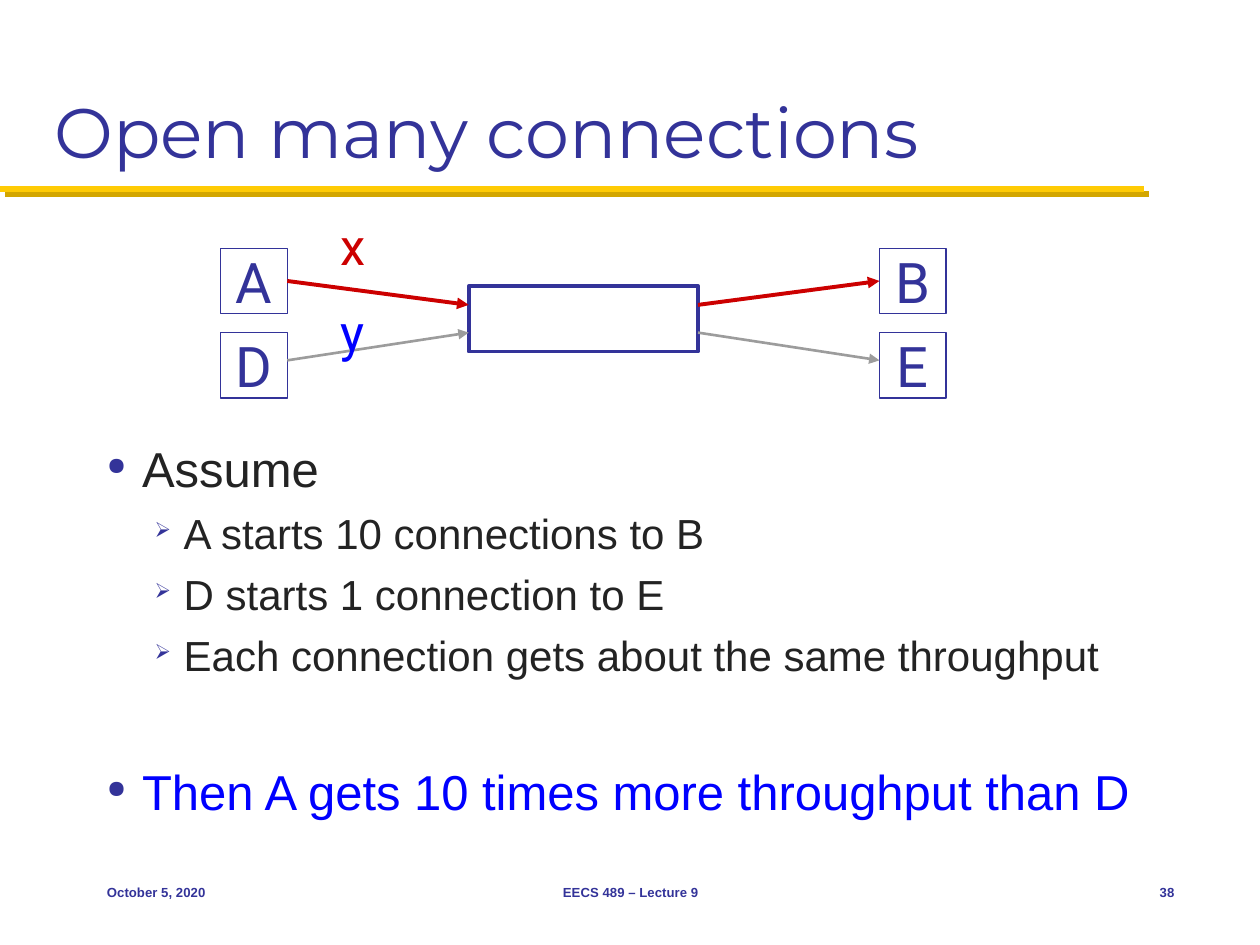
"""Build a slide on sharing a link between many connections."""
from dataclasses import dataclass

from lxml import etree
from pptx import Presentation
from pptx import util as u
from pptx.dml.color import RGBColor
from pptx.enum import shapes, text
from pptx.oxml import ns

CELL = u.Inches(0.1)
COLUMNS, ROWS = 100, 75
TIGHT, ROOMY = (0.4, 0.2), (1, 0.5)


@dataclass(frozen=True)
class Theme:
    """Colours, fonts and type sizes of the slide."""

    navy: str = "333399"
    ink: str = "232323"
    blue: str = "0000FF"
    red: str = "CC0000"
    grey: str = "9C9C9C"
    gold: str = "FFCB05"
    dark_gold: str = "D3A600"
    white: str = "FFFFFF"
    heading: str = "Montserrat"
    body: str = "Arial"
    label: str = "Roboto"
    title_size: float = 40
    host_size: float = 32
    rate_size: float = 29
    point_size: float = 28
    subpoint_size: float = 24
    footer_size: float = 7.5


THEME = Theme()
LEFT, CENTER, RIGHT = text.PP_ALIGN.LEFT, text.PP_ALIGN.CENTER, text.PP_ALIGN.RIGHT


def grid(*cells):
    """Turn grid cells into slide lengths."""
    return [round(cell * CELL) for cell in cells]


def apply(target, formats):
    """Set every attribute named in a dict of format values."""
    for name, value in formats.items():
        setattr(target, name, value)


def add_xml(parent, tag, **attributes):
    """Append a drawing element to a parent."""
    return etree.SubElement(parent, ns.qn(tag), attributes)


def set_frame(frame, insets=ROOMY, anchor=text.MSO_ANCHOR.MIDDLE):
    """Set the margins, anchor and wrapping of a text frame."""
    side, edge = grid(*insets)
    apply(frame, {
        "margin_left": side, "margin_right": side,
        "margin_top": edge, "margin_bottom": edge,
        "vertical_anchor": anchor, "word_wrap": True,
        "auto_size": text.MSO_AUTO_SIZE.NONE,
    })


def write(para, words, size, color, font, align=LEFT, bold=False):
    """Put one formatted span in a paragraph."""
    para.alignment = align
    span = para.add_run()
    span.text = words
    apply(span.font, {"size": u.Pt(size), "name": font, "bold": bold})
    span.font.color.rgb = RGBColor.from_string(color)


def add_title(page, words):
    """Fill and place the title placeholder."""
    title = page.shapes.title
    left, top, width, height = grid(3.33, 1.67, 93.33, 12.5)
    apply(title, {"left": left, "top": top, "width": width, "height": height})
    set_frame(title.text_frame, anchor=text.MSO_ANCHOR.BOTTOM)
    write(title.text_frame.paragraphs[0], words, THEME.title_size, THEME.navy, THEME.heading)


def add_line(page, start, end, color, width):
    """Draw a straight line and return it with its effect list."""
    line = page.shapes.add_connector(shapes.MSO_CONNECTOR.STRAIGHT, *grid(*start, *end))
    line.line.color.rgb = RGBColor.from_string(color)
    line.line.width = u.Pt(width)
    return line, add_xml(line._element.spPr, "a:effectLst")


def add_rule(page):
    """Draw the gold rule and its hard shadow."""
    effects = add_line(page, (0, 15), (90.8, 15), THEME.gold, 3.5)[1]
    shadow = add_xml(effects, "a:outerShdw", blurRad="0", dist=str(u.Pt(4.2)),
                     dir=str(45 * 60000), algn="ctr", rotWithShape="0")
    add_xml(shadow, "a:srgbClr", val=THEME.dark_gold)


def add_arrow(page, start, end, color, width):
    """Draw a line with an arrowhead at its end."""
    line = add_line(page, start, end, color, width)[0]
    add_xml(line.line._get_or_add_ln(), "a:tailEnd", type="triangle")


def add_node(page, place, width, name=""):
    """Draw an outlined network node with an optional name."""
    node = page.shapes.add_shape(shapes.MSO_SHAPE.RECTANGLE, *grid(*place))
    node.shadow.inherit = False
    node.fill.solid()
    node.fill.fore_color.rgb = RGBColor.from_string(THEME.white)
    node.line.color.rgb = RGBColor.from_string(THEME.navy)
    node.line.width = u.Pt(width)
    if name:
        set_frame(node.text_frame, TIGHT)
        write(node.text_frame.paragraphs[0], name, THEME.host_size,
              THEME.navy, THEME.label, CENTER)


def add_label(page, place, words, size, color, font, insets=ROOMY, align=LEFT, bold=False):
    """Place a single line of text."""
    box = page.shapes.add_textbox(*grid(*place))
    set_frame(box.text_frame, insets)
    write(box.text_frame.paragraphs[0], words, size, color, font, align, bold)


def add_network(page):
    """Draw two flows that share one bottleneck."""
    west, east, side, height = 17.5, 69.8, 5.3, 5.2
    link, link_width = 37.2, 18.2
    add_node(page, (link, 22.7, link_width, height), 2.25)
    flows = [
        ("A", "B", "x", 19.7, 22.3, 24.2, 16.7, THEME.red, THEME.red, 2.25),
        ("D", "E", "y", 26.4, 28.6, 26.4, 23.5, THEME.grey, THEME.blue, 1.5),
    ]
    for source, sink, rate, top, port, entry, rate_top, color, rate_color, width in flows:
        add_node(page, (west, top, side, height), 0.75, source)
        add_node(page, (east, top, side, height), 0.75, sink)
        add_arrow(page, (west + side, port), (link, entry), color, width)
        add_arrow(page, (link + link_width, entry), (east, port), color, width)
        add_label(page, (26.6, rate_top, 3.8, 5.6), rate, THEME.rate_size,
                  rate_color, THEME.label, TIGHT)


def add_bullet(para, mark, margin, hang):
    """Give a paragraph a half-size hanging bullet."""
    props = para._p.get_or_add_pPr()
    props.set("marL", str(u.Inches(margin)))
    props.set("indent", str(-u.Inches(hang)))
    color = add_xml(props, "a:buClr")
    add_xml(color, "a:srgbClr", val=THEME.navy)
    add_xml(props, "a:buSzPct", val="50000")
    add_xml(props, "a:buChar", char=mark)


def add_points(page):
    """Write the assumptions and the conclusion."""
    point = ("●", 0.28, 0.28, THEME.point_size)
    subpoint = ("➢", 0.61, 0.23, THEME.subpoint_size)
    lines = [
        ("Assume", point, THEME.ink, 0),
        ("A starts 10 connections to B", subpoint, THEME.ink, 6),
        ("D starts 1 connection to E", subpoint, THEME.ink, 6),
        ("Each connection gets about the same throughput", subpoint, THEME.ink, 6),
        ("Then A gets 10 times more throughput than D", point, THEME.blue, 46.5),
    ]
    box = page.shapes.add_textbox(*grid(7.5, 34.3, 86.7, 31.5))
    frame = box.text_frame
    set_frame(frame, anchor=text.MSO_ANCHOR.TOP)
    for index, (words, (mark, margin, hang, size), color, gap) in enumerate(lines):
        para = frame.add_paragraph() if index else frame.paragraphs[0]
        para.level = int(size == THEME.subpoint_size)
        para.space_before = u.Pt(gap)
        add_bullet(para, mark, margin, hang)
        write(para, words, size, color, THEME.body)


def add_footer(page):
    """Write the date, course and page number."""
    for left, width, words, align in [
        (7.5, 20.8, "October 5, 2020", LEFT),
        (34.2, 31.7, "EECS 489 – Lecture 9", CENTER),
        (87.5, 6.7, "38", RIGHT),
    ]:
        add_label(page, (left, 68.3, width, 5), words, THEME.footer_size,
                  THEME.navy, THEME.body, align=align, bold=True)


def main():
    """Build and save the deck."""
    deck = Presentation()
    deck.slide_width, deck.slide_height = grid(COLUMNS, ROWS)
    page = deck.slides.add_slide(deck.slide_layouts.get_by_name("Title Only"))
    add_rule(page)
    add_title(page, "Open many connections")
    add_points(page)
    add_network(page)
    add_footer(page)
    deck.save("out.pptx")


if __name__ == "__main__":
    main()
